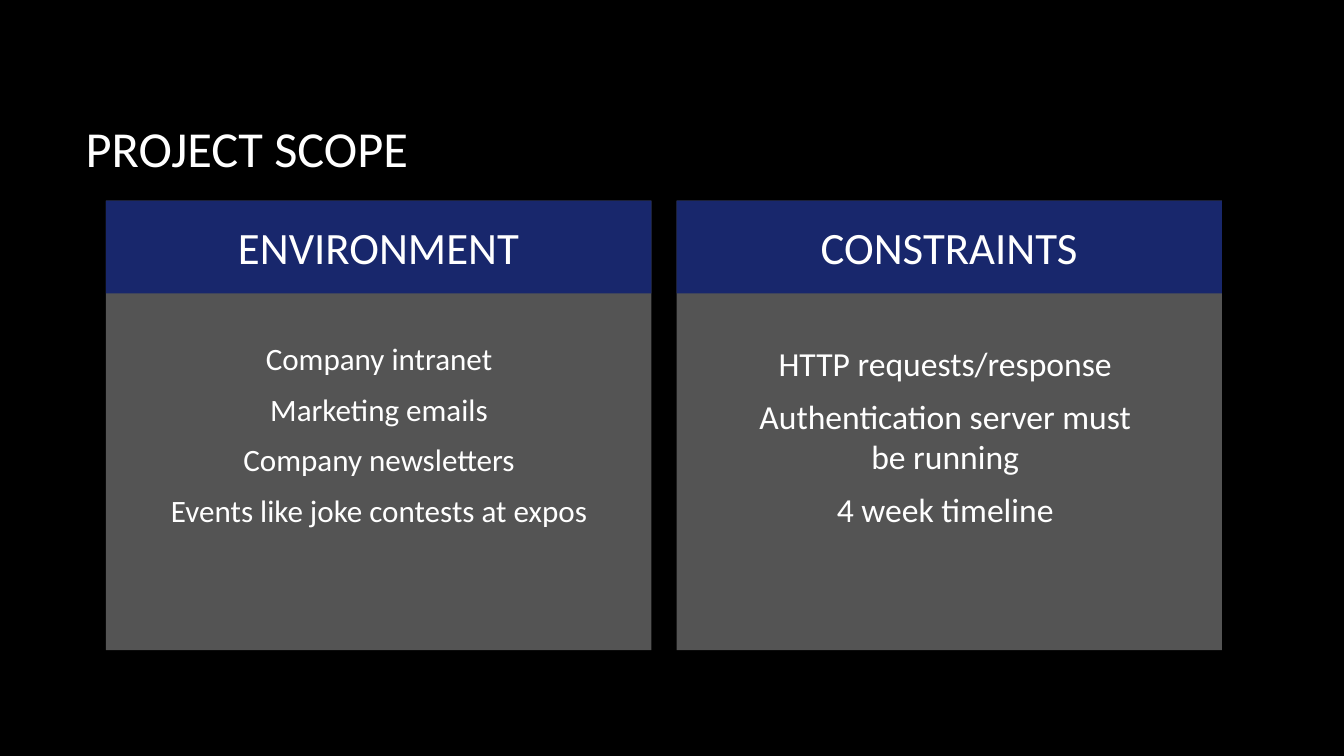
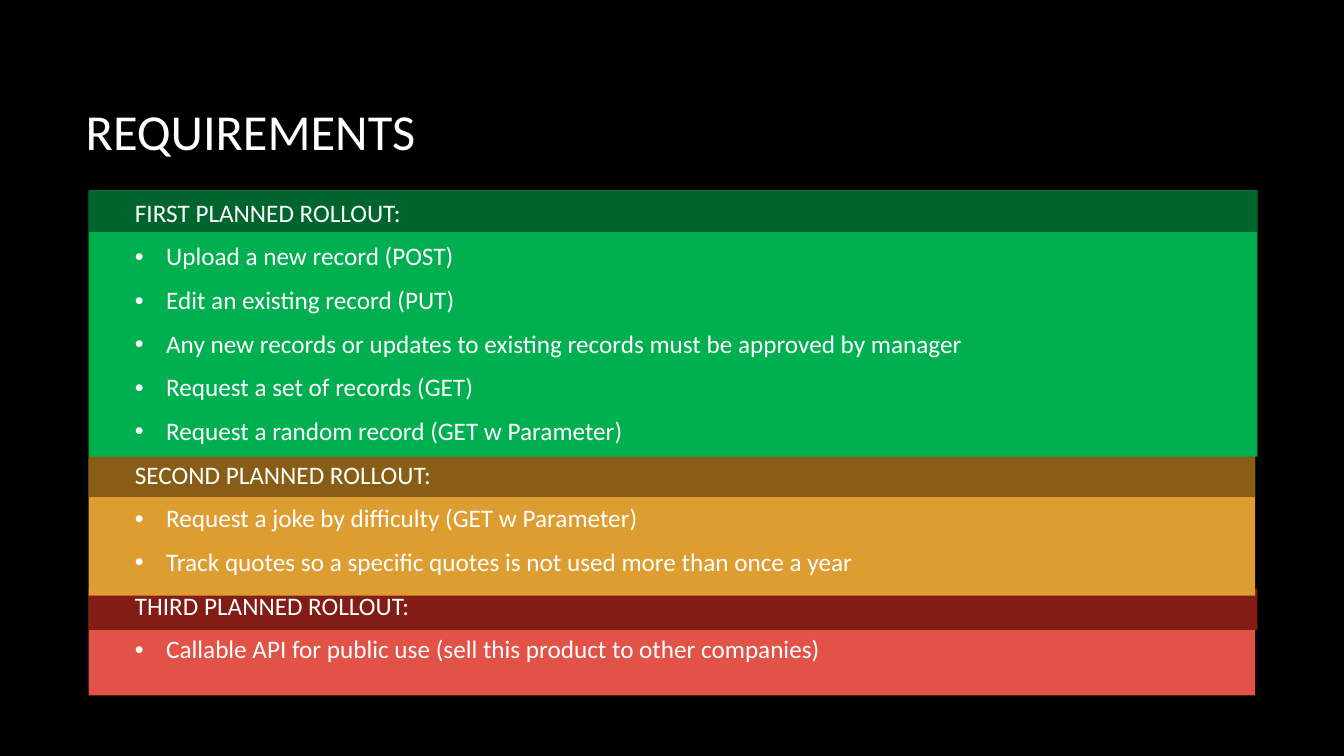
import dataclasses

import lxml.etree
import pptx
import pptx.dml.color
import pptx.enum.shapes
import pptx.enum.text
import pptx.oxml.ns
import pptx.util

inch = pptx.util.Inches
point = pptx.util.Pt
ALIGN = pptx.enum.text.PP_ALIGN
MIDDLE = pptx.enum.text.MSO_ANCHOR.MIDDLE
FONT = "Calibri"
BULLET = 0.31

COLORS = {
    "back": "000000", "text": "FFFFFF", "navy": "18276C",
    "green": "00B050", "forest": "00642D",
    "gold": "DD9D31", "brown": "885D16",
    "red": "E25247", "maroon": "821C14",
}


@dataclasses.dataclass
class Box:
    left: float
    top: float
    width: float
    height: float

    def place(self) -> tuple:
        return tuple(map(inch, dataclasses.astuple(self)))


@dataclasses.dataclass
class Card:
    head: str
    lines: list[str]
    body: Box
    size: float


@dataclasses.dataclass
class Phase:
    head: str
    items: list[str]
    panel: Box
    band: Box
    light: str
    dark: str


def color(name: str) -> pptx.dml.color.RGBColor:
    return pptx.dml.color.RGBColor.from_string(COLORS[name])


def style(para, size: float, align=ALIGN.LEFT) -> None:
    para.alignment = align
    para.font.name = FONT
    para.font.size = point(size)
    para.font.color.rgb = color("text")


def add_slide(deck, title: str, top: float):
    slide = deck.slides.add_slide(deck.slide_layouts[5])
    shape = slide.shapes.title
    shape.left, shape.top, shape.width, shape.height = Box(0.75, top, 11.08, 1.59).place()
    frame = shape.text_frame
    frame.text = title
    frame.vertical_anchor = MIDDLE
    style(frame.paragraphs[0], 36)
    return slide


def add_rect(slide, box: Box, fill: str, alpha: int = 100):
    rect = slide.shapes.add_shape(pptx.enum.shapes.MSO_SHAPE.RECTANGLE, *box.place())
    rect.shadow.inherit = False
    rect.line.fill.background()
    rect.fill.solid()
    rect.fill.fore_color.rgb = color(fill)
    if alpha < 100:
        tone = rect.fill._xPr.find(".//" + pptx.oxml.ns.qn("a:srgbClr"))
        lxml.etree.SubElement(tone, pptx.oxml.ns.qn("a:alpha"), val=str(alpha * 1000))
    return rect


def add_text(slide, box: Box, lines: list[str], size: float, align=ALIGN.LEFT):
    frame = slide.shapes.add_textbox(*box.place()).text_frame
    frame.word_wrap = True
    frame.text = "\n".join(lines)
    for para in frame.paragraphs:
        style(para, size, align)
        para.line_spacing = 0.98
        para.space_after = point(10)
    return frame


def add_bullet(para) -> None:
    props = para._p.get_or_add_pPr()
    props.set("marL", str(inch(BULLET)))
    props.set("indent", str(-inch(BULLET)))
    font = lxml.etree.SubElement(props, pptx.oxml.ns.qn("a:buFont"), typeface="Arial")
    mark = lxml.etree.SubElement(props, pptx.oxml.ns.qn("a:buChar"), char="•")
    # Bullets come before the default run style
    for run in props.findall(pptx.oxml.ns.qn("a:defRPr")):
        props.remove(run)
        mark.addnext(run)
    font.addnext(mark)


def draw_scope(deck) -> None:
    slide = add_slide(deck, "PROJECT SCOPE", 0.67)
    left, top, width, gap = 1.05, 1.99, 5.41, 0.25
    cards = [
        Card("ENVIRONMENT",
             ["Company intranet", "Marketing emails", "Company newsletters",
              "Events like joke contests at expos"],
             Box(1.44, 3.34, 4.64, 2.3), 22.2),
        Card("CONSTRAINTS",
             ["HTTP requests/response", "Authentication server must be running",
              "4 week timeline"],
             Box(7.25, 3.37, 4.25, 2.28), 24),
    ]
    for col, card in enumerate(cards):
        start = left + col * (width + gap)
        add_rect(slide, Box(start, top, width, 4.46), "text", alpha=33)
        band = add_rect(slide, Box(start, top, width, 0.92), "navy")
        band.text_frame.text = card.head
        band.text_frame.vertical_anchor = MIDDLE
        style(band.text_frame.paragraphs[0], 32, ALIGN.CENTER)
        add_text(slide, card.body, card.lines, card.size, ALIGN.CENTER)


def draw_needs(deck) -> None:
    slide = add_slide(deck, "REQUIREMENTS", 0.5)
    left, slim, wide, band = 0.88, 11.57, 11.59, 0.41
    phases = [
        Phase("FIRST PLANNED ROLLOUT:",
              ["Upload a new record (POST)", "Edit an existing record (PUT)",
               "Any new records or updates to existing records must be approved by manager",
               "Request a set of records (GET)",
               "Request a random record (GET w Parameter)"],
              Box(left, 1.89, wide, 2.64), Box(left, 1.89, wide, band),
              "green", "forest"),
        Phase("SECOND PLANNED ROLLOUT:",
              ["Request a joke by difficulty (GET w Parameter)",
               "Track quotes so a specific quotes is not used more than once a year"],
              Box(left, 4.54, slim, 1.37), Box(left, 4.52, slim, band),
              "gold", "brown"),
        Phase("THIRD PLANNED ROLLOUT:",
              ["Callable API for public use (sell this product to other companies)"],
              Box(left, 5.89, slim, 1.01), Box(left, 5.84, wide, band),
              "red", "maroon"),
    ]
    # Earlier phases overlap later ones
    for phase in reversed(phases):
        add_rect(slide, phase.panel, phase.light)
        add_rect(slide, phase.band, phase.dark)

    # One list runs over all bands
    lines = [line for phase in phases for line in (phase.head, *phase.items)]
    heads = {phase.head for phase in phases}
    frame = add_text(slide, Box(1.24, 1.92, 10.1, 5.16), lines, 18)
    for para in frame.paragraphs:
        if para.text not in heads:
            add_bullet(para)


def main() -> None:
    deck = pptx.Presentation()
    deck.slide_width, deck.slide_height = inch(13.33), inch(7.5)
    back = deck.slide_master.background.fill
    back.solid()
    back.fore_color.rgb = color("back")
    draw_scope(deck)
    draw_needs(deck)
    deck.save("out.pptx")


if __name__ == "__main__":
    main()
